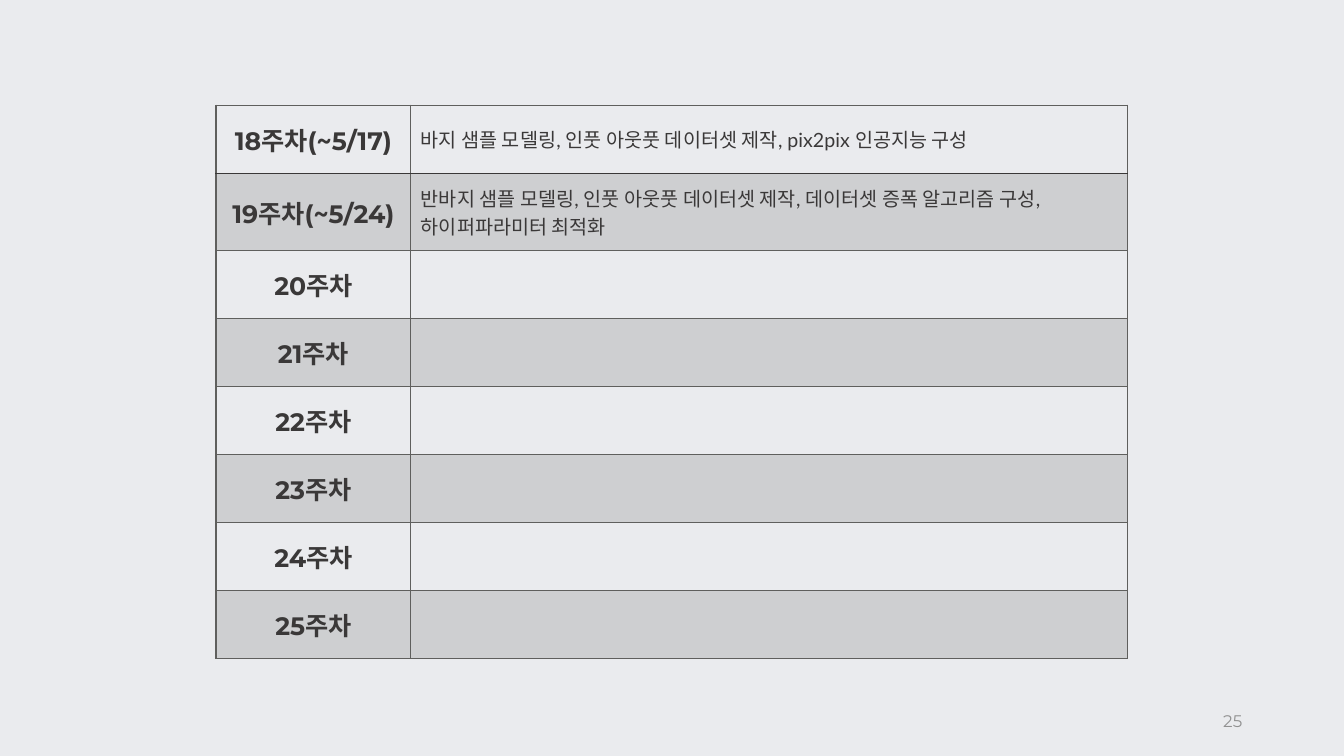
from dataclasses import dataclass

from lxml.etree import SubElement
from pptx import Presentation
from pptx.dml.color import RGBColor
from pptx.enum.text import MSO_ANCHOR as Anchor, PP_ALIGN as Align
from pptx.oxml import parse_xml
from pptx.oxml.ns import nsdecls, qn
from pptx.util import Inches, Pt

COLORS = {"background": "EAEBEE", "ink": "3A3838", "line": "5F5F5D", "page": "919191"}
LABEL = {"name": "Montserrat", "size": Pt(18), "bold": True}
PLAN = {"name": "Lato", "size": Pt(14), "bold": False}
PAGE = {"name": "Montserrat", "size": Pt(12), "bold": False}
BORDER_WIDTH = Pt(1)
SHADE_OPACITY = 20


@dataclass
class Week:
    label: str
    plan: str = ""


WEEKS = [
    Week("18주차(~5/17)", "바지 샘플 모델링, 인풋 아웃풋 데이터셋 제작, pix2pix 인공지능 구성"),
    Week("19주차(~5/24)", "반바지 샘플 모델링, 인풋 아웃풋 데이터셋 제작, "
                       "데이터셋 증폭 알고리즘 구성, 하이퍼파라미터 최적화"),
    *(Week(f"{number}주차") for number in range(20, 26)),
]

# Slide and its grid of 100 columns by 100 rows
deck = Presentation()
deck.slide_width, deck.slide_height = Inches(13.33), Inches(7.5)


def cols(count: float) -> int:
    return round(deck.slide_width * count / 100)


def rows(count: float) -> int:
    return round(deck.slide_height * count / 100)


def write(frame, text: str, style: dict, color: str, align: Align) -> None:
    paragraph = frame.paragraphs[0]
    paragraph.alignment = align
    run = paragraph.add_run()
    run.text = text
    for attribute, value in style.items():
        setattr(run.font, attribute, value)
    run.font.color.rgb = RGBColor.from_string(COLORS[color])


def shade(cell) -> None:
    cell.fill.solid()
    cell.fill.fore_color.rgb = RGBColor.from_string(COLORS["line"])
    tint = cell._tc.tcPr.find(f".//{qn('a:srgbClr')}")
    SubElement(tint, qn("a:alpha"), val=str(SHADE_OPACITY * 1000))


def outline(cell, sides: dict[str, str]) -> None:
    """Borders must stand before the fill in the cell properties."""
    properties = cell._tc.get_or_add_tcPr()
    for index, (side, color) in enumerate(sides.items()):
        properties.insert(index, parse_xml(
            f'<a:ln{side} {nsdecls("a")} w="{BORDER_WIDTH}"><a:solidFill>'
            f'<a:srgbClr val="{COLORS[color]}"/></a:solidFill></a:ln{side}>'))


slide = deck.slides.add_slide(deck.slide_layouts[6])
slide.background.fill.solid()
slide.background.fill.fore_color.rgb = RGBColor.from_string(COLORS["background"])

# Weekly schedule
LABEL_COLS, PLAN_COLS, WEEK_ROWS = 14.5, 53.3, 9
schedule = slide.shapes.add_table(
    len(WEEKS), 2, cols(16.07), rows(13.93),
    cols(LABEL_COLS + PLAN_COLS), rows(WEEK_ROWS * len(WEEKS))).table
schedule.first_row = schedule.horz_banding = False
schedule.columns[0].width, schedule.columns[1].width = cols(LABEL_COLS), cols(PLAN_COLS)

for index, week in enumerate(WEEKS):
    schedule.rows[index].height = rows(WEEK_ROWS)
    sides = {"L": "line", "R": "line",
             "T": "ink" if index == 1 else "line",
             "B": "ink" if index == 0 else "line"}
    entries = ((week.label, LABEL, Align.CENTER), (week.plan, PLAN, Align.LEFT))
    for cell, (text, style, align) in zip(schedule.rows[index].cells, entries):
        cell.vertical_anchor = Anchor.MIDDLE
        if text:
            write(cell.text_frame, text, style, "ink", align)
        if index % 2:
            shade(cell)
        else:
            cell.fill.background()
        outline(cell, sides)

# Page number
page_number = slide.shapes.add_textbox(cols(70.67), rows(92.67), cols(22.5), rows(5.33)).text_frame
page_number.word_wrap = True
page_number.vertical_anchor = Anchor.MIDDLE
write(page_number, "25", PAGE, "page", Align.RIGHT)

deck.save("out.pptx")
